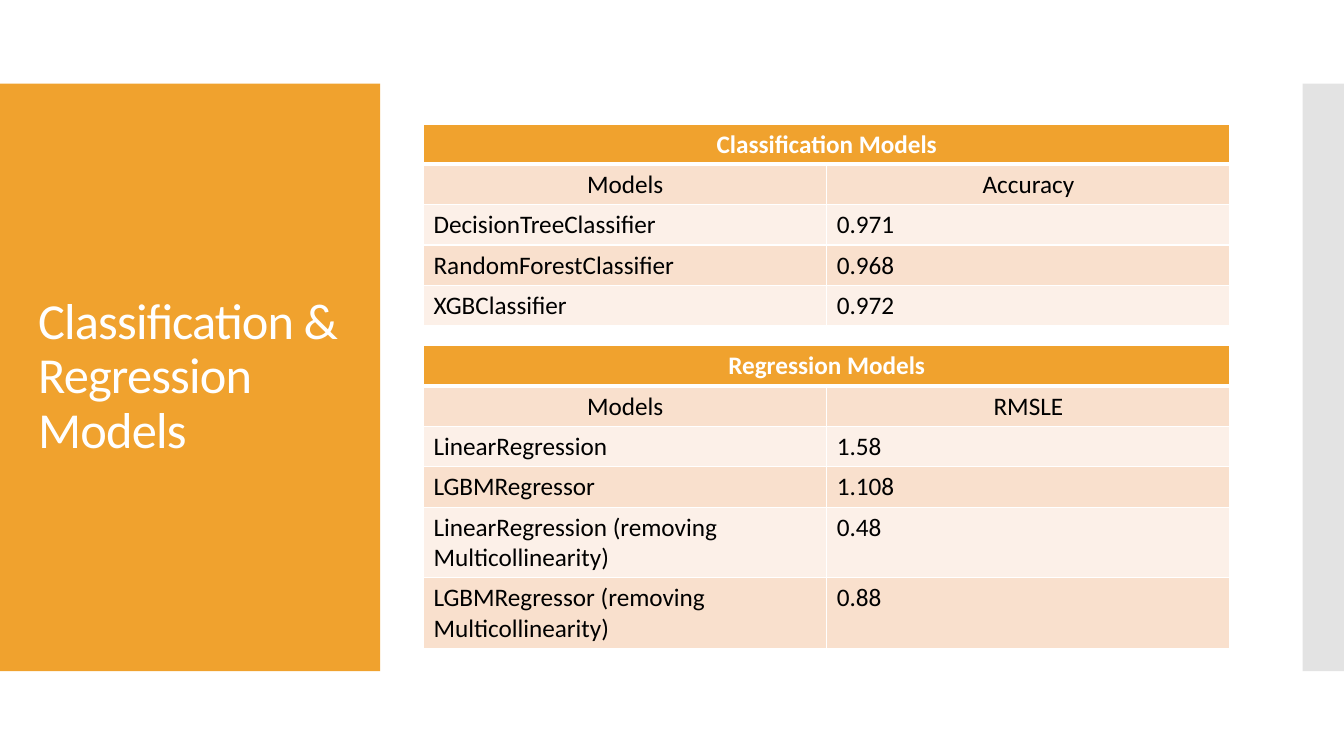
from lxml import etree
from pptx import Presentation
from pptx.dml.color import RGBColor
from pptx.enum.shapes import MSO_SHAPE
from pptx.enum.text import MSO_ANCHOR, PP_ALIGN
from pptx.oxml.ns import qn
from pptx.util import Inches, Pt

RECT = MSO_SHAPE.RECTANGLE
MIDDLE = MSO_ANCHOR.MIDDLE
LEFT, CENTER = PP_ALIGN.LEFT, PP_ALIGN.CENTER

FONT = "Calibri"
COLORS = {
    "accent": "F0A22E",
    "band_dark": "F9E0CD",
    "band_light": "FCF0E8",
    "edge": "E3E3E3",
    "white": "FFFFFF",
    "black": "000000",
}

CLASSIFICATION = [
    ("Models", "Accuracy"),
    ("DecisionTreeClassifier", "0.971"),
    ("RandomForestClassifier", "0.968"),
    ("XGBClassifier", "0.972"),
]
REGRESSION = [
    ("Models", "RMSLE"),
    ("LinearRegression", "1.58"),
    ("LGBMRegressor", "1.108"),
    ("LinearRegression (removing Multicollinearity)", "0.48"),
    ("LGBMRegressor (removing Multicollinearity)", "0.88"),
]


def rgb(name):
    return RGBColor.from_string(COLORS[name])


def write(tf, text, size=18, color="black", bold=False, align=LEFT,
          line_spacing=None, char_spacing=None):
    p = tf.paragraphs[0]
    p.alignment = align
    if line_spacing:
        p.line_spacing = line_spacing
    r = p.add_run()
    r.text = text
    r.font.name = FONT
    r.font.size = Pt(size)
    r.font.bold = bold
    r.font.color.rgb = rgb(color)
    if char_spacing:
        r._r.get_or_add_rPr().set("spc", str(round(char_spacing * 100)))


def add_panel(slide, x, y, w, h, color):
    sp = slide.shapes.add_shape(RECT, Inches(x), Inches(y), Inches(w), Inches(h))
    sp.shadow.inherit = False
    sp.fill.solid()
    sp.fill.fore_color.rgb = rgb(color)
    sp.line.fill.background()


def add_title_panel(slide, x, y, w, h, text):
    add_panel(slide, x, y, w, h, "accent")
    box = slide.shapes.add_textbox(Inches(x + 0.28), Inches(y + 0.4),
                                   Inches(w - 0.55), Inches(h - 0.8))
    tf = box.text_frame
    tf.word_wrap = True
    tf.vertical_anchor = MIDDLE
    write(tf, text, size=36, color="white", line_spacing=0.9, char_spacing=-0.6)


def set_borders(cell, top, bottom):
    tcPr = cell._tc.get_or_add_tcPr()
    for side, width in (("L", 1), ("R", 1), ("T", top), ("B", bottom)):
        ln = etree.SubElement(tcPr, qn(f"a:ln{side}"), w=str(Pt(width)))
        fill = etree.SubElement(ln, qn("a:solidFill"))
        etree.SubElement(fill, qn("a:srgbClr"), val=COLORS["white"])


def add_model_table(slide, x, y, w, heading, rows, row_h=0.4):
    data = [(heading, "")] + rows
    frame = slide.shapes.add_table(len(data), 2, Inches(x), Inches(y),
                                   Inches(w), Inches(row_h * len(data)))
    table = frame.table
    for column in table.columns:
        column.width = Inches(w / 2)
    table.cell(0, 0).merge(table.cell(0, 1))

    for i, values in enumerate(data):
        table.rows[i].height = Inches(row_h)
        is_heading = i == 0
        band = "accent" if is_heading else "band_dark" if i % 2 else "band_light"
        for j, value in enumerate(values):
            cell = table.cell(i, j)
            # A thick rule separates the heading from the rows below
            set_borders(cell, top=3 if i == 1 else 1, bottom=3 if is_heading else 1)
            cell.fill.solid()
            cell.fill.fore_color.rgb = rgb(band)
            if value:
                write(cell.text_frame, value, bold=is_heading,
                      color="white" if is_heading else "black",
                      align=CENTER if i < 2 else LEFT)


def main():
    prs = Presentation()
    prs.slide_width, prs.slide_height = Inches(13.33), Inches(7.5)
    slide = prs.slides.add_slide(prs.slide_layouts[6])

    # Side panels
    add_title_panel(slide, 0, 0.83, 3.77, 5.83, "Classification & Regression Models")
    add_panel(slide, 12.92, 0.83, 0.41, 5.83, "edge")

    # Result tables
    add_model_table(slide, 4.2, 1.23, 8, "Classification Models", CLASSIFICATION)
    add_model_table(slide, 4.2, 3.43, 8, "Regression Models", REGRESSION)

    prs.save("out.pptx")


if __name__ == "__main__":
    main()
